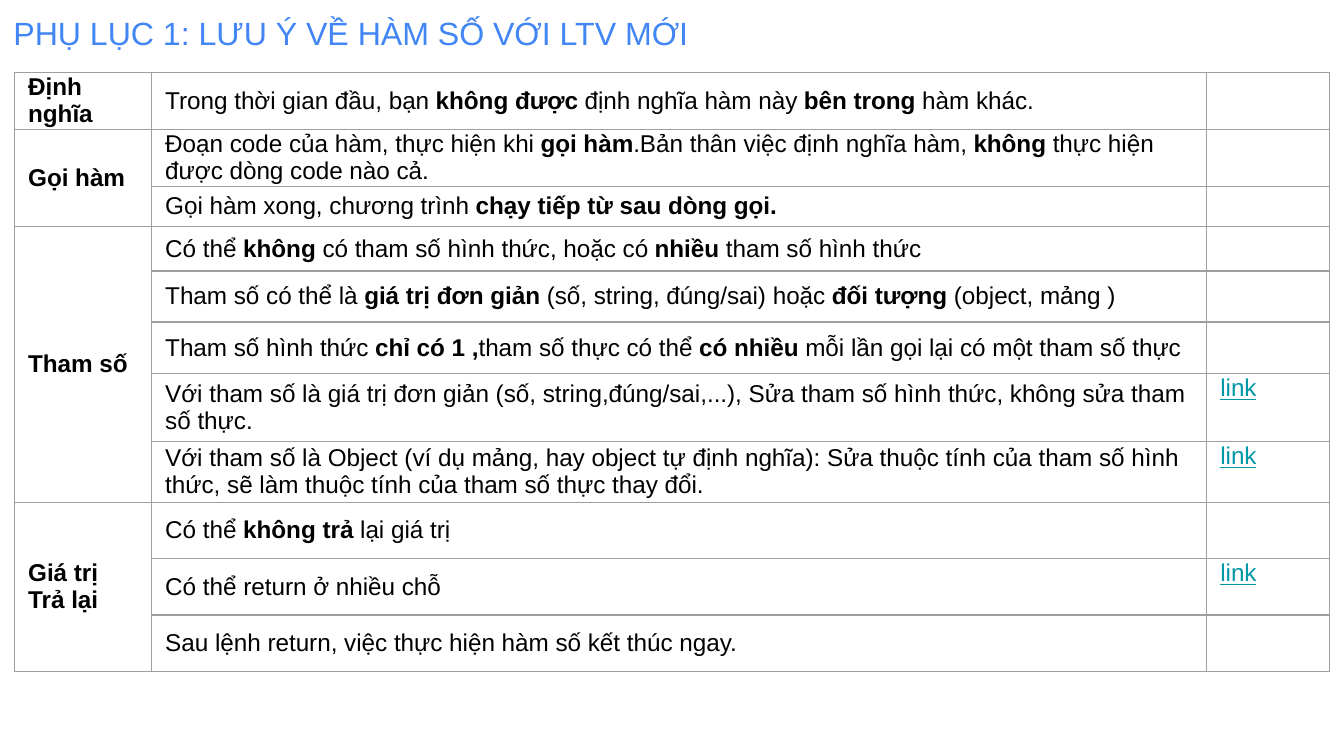
from lxml import etree
from pptx import Presentation
from pptx.dml.color import RGBColor
from pptx.enum.text import MSO_ANCHOR as ANCHOR, MSO_AUTO_SIZE as AUTO_SIZE, PP_ALIGN as ALIGN
from pptx.oxml import parse_xml
from pptx.oxml.ns import nsdecls, qn
from pptx.util import Inches, Pt

TITLE_BLUE = RGBColor(0x42, 0x85, 0xF4)
BLACK = RGBColor(0, 0, 0)
LINK_TEAL = RGBColor(0x00, 0x97, 0xA7)
BORDER_GREY = RGBColor(0x9E, 0x9E, 0x9E)

TITLE = "PHỤ LỤC 1: LƯU Ý VỀ HÀM SỐ VỚI LTV MỚI"
COLUMN_WIDTHS = [1.02, 7.85, 0.91]

# Each topic: label, then rows of (height, note, link); ** marks bold words
TOPICS = [
    ("Định nghĩa", [
        (0.42, "Trong thời gian đầu, bạn **không được **định nghĩa hàm này **bên trong** hàm khác.", ""),
    ]),
    ("Gọi hàm", [
        (0.42, "Đoạn code của hàm, thực hiện khi **gọi hàm**.Bản thân việc định nghĩa hàm, "
               "**không** thực hiện được dòng code nào cả.", ""),
        (0.3, "Gọi hàm xong, chương trình **chạy tiếp từ sau dòng gọi.**", ""),
    ]),
    ("Tham số", [
        (0.33, "Có thể **không **có tham số hình thức, hoặc có **nhiều** tham số hình thức", ""),
        (0.38, "Tham số có thể là **giá trị đơn giản** (số, string, đúng/sai) hoặc "
               "**đối tượng** (object, mảng )", ""),
        (0.38, "Tham số hình thức **chỉ có 1 ,**tham số thực có thể **có nhiều **"
               "mỗi lần gọi lại có một tham số thực", ""),
        (0.51, "Với tham số là giá trị đơn giản (số, string,đúng/sai,...), "
               "Sửa tham số hình thức, không sửa tham số thực.", "link"),
        (0.45, "Với tham số là Object (ví dụ mảng, hay object tự định nghĩa): "
               "Sửa thuộc tính của tham số hình thức, sẽ làm thuộc tính của tham số thực thay đổi.", "link"),
    ]),
    ("Giá trị Trả lại", [
        (0.42, "Có thể **không trả** lại giá trị", ""),
        (0.42, "Có thể return ở nhiều chỗ", "link"),
        (0.42, "Sau lệnh return, việc thực hiện hàm số kết thúc ngay.", ""),
    ]),
]


def write_text(holder, text, size=13, color=BLACK, underline=False, anchor=ANCHOR.MIDDLE):
    """Fill a cell or the title; words between ** marks are bold."""
    holder.vertical_anchor = anchor
    frame = getattr(holder, "text_frame", holder)
    paragraph = frame.paragraphs[0]
    paragraph.alignment = ALIGN.LEFT
    for index, part in enumerate(text.split("**")):
        if not part:
            continue
        run = paragraph.add_run()
        run.text = part
        font = run.font
        font.name, font.size, font.bold = "Arial", Pt(size), index % 2 == 1
        font.underline = underline
        font.color.rgb = color


def format_cell(cell):
    cell.margin_left = cell.margin_right = Inches(0.1)
    cell.margin_top = cell.margin_bottom = Inches(0.01)
    cell.fill.background()
    properties = cell._tc.get_or_add_tcPr()
    for index, side in enumerate(("lnL", "lnR", "lnT", "lnB")):
        border = parse_xml(f'<a:{side} {nsdecls("a")} w="{Pt(0.75)}"/>')
        fill = etree.SubElement(border, qn("a:solidFill"))
        etree.SubElement(fill, qn("a:srgbClr"), val=str(BORDER_GREY))
        properties.insert(index, border)
    # Keeps empty cells from stretching their row
    etree.SubElement(cell.text_frame.paragraphs[0]._p, qn("a:endParaRPr"), sz="1300")


def place_title(slide, left, top, width, height):
    title = slide.shapes.title
    title.left, title.top = Inches(left), Inches(top)
    title.width, title.height = Inches(width), Inches(height)
    frame = title.text_frame
    frame.word_wrap = True
    frame.auto_size = AUTO_SIZE.NONE
    frame.margin_left = frame.margin_right = Inches(0.1)
    frame.margin_top = frame.margin_bottom = Inches(0.1)
    write_text(frame, TITLE, size=17.2, color=TITLE_BLUE, anchor=ANCHOR.TOP)


def place_notes_table(slide, left, top):
    notes = [note for _, topic_notes in TOPICS for note in topic_notes]
    heights = [height for height, _, _ in notes]
    table = slide.shapes.add_table(
        len(notes), len(COLUMN_WIDTHS), Inches(left), Inches(top),
        Inches(sum(COLUMN_WIDTHS)), Inches(sum(heights))).table
    table.first_row = table.horz_banding = False
    for column, width in zip(table.columns, COLUMN_WIDTHS):
        column.width = Inches(width)
    for row, height in zip(table.rows, heights):
        row.height = Inches(height)
    for cell in table.iter_cells():
        format_cell(cell)

    # Notes and links
    for index, (_, note, link) in enumerate(notes):
        write_text(table.cell(index, 1), note)
        if link:
            write_text(table.cell(index, 2), link, color=LINK_TEAL,
                       underline=True, anchor=ANCHOR.TOP)

    # Topic labels, each spanning its notes
    first = 0
    for label, topic_notes in TOPICS:
        topic = table.cell(first, 0)
        last = first + len(topic_notes) - 1
        if last > first:
            topic.merge(table.cell(last, 0))
        write_text(topic, f"**{label}**", anchor=ANCHOR.MIDDLE if last > first else ANCHOR.TOP)
        first = last + 1


def main():
    deck = Presentation()
    deck.slide_width = Inches(10)
    deck.slide_height = deck.slide_width * 9 // 16
    slide = deck.slides.add_slide(deck.slide_layouts[5])
    place_title(slide, 0, 0, 9.32, 0.63)
    place_notes_table(slide, 0.11, 0.54)
    deck.save("out.pptx")


if __name__ == "__main__":
    main()
